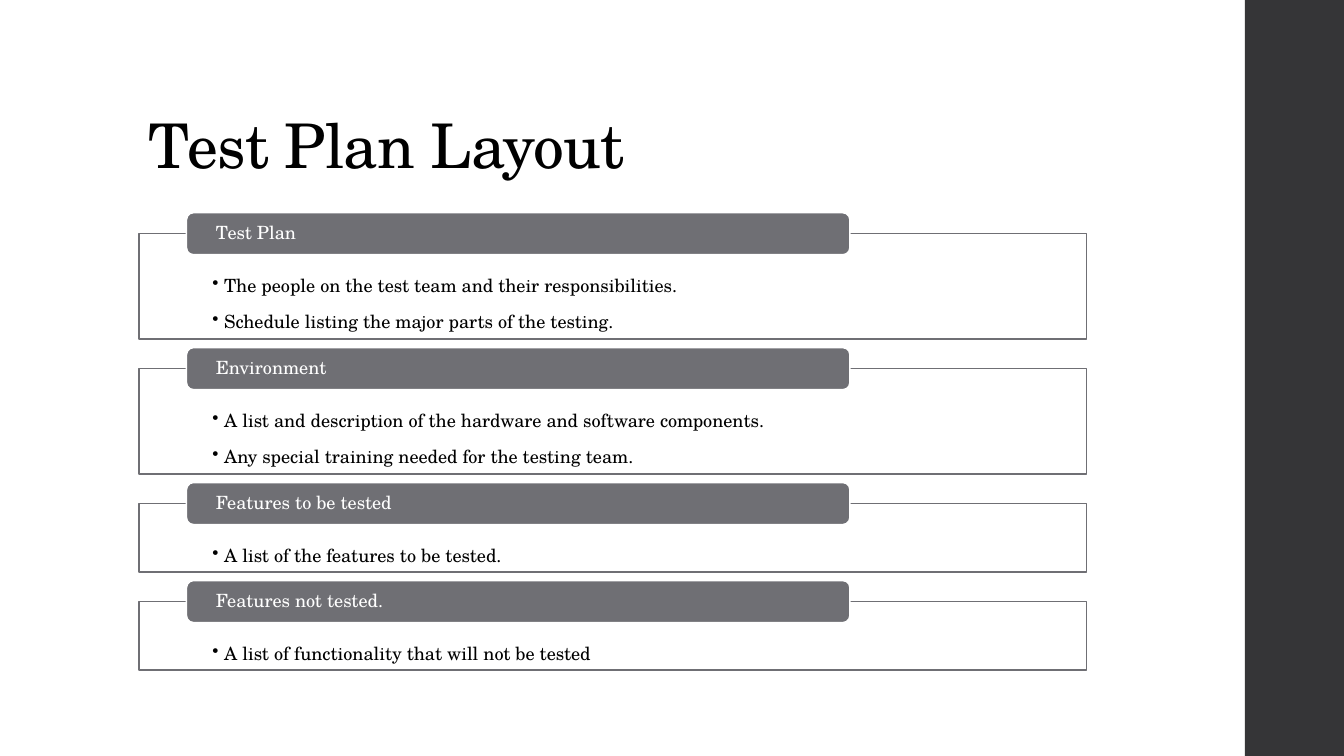
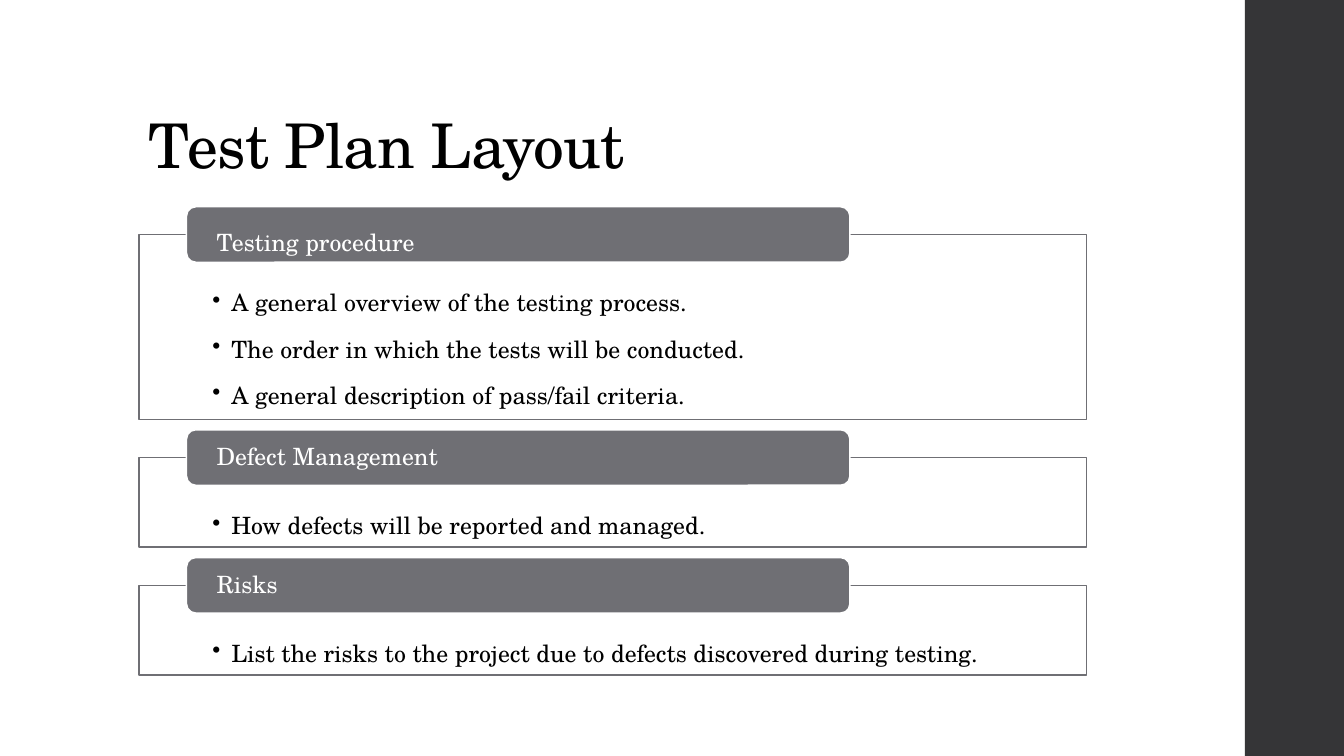
from dataclasses import dataclass
from typing import Any

from lxml import etree
from pptx import Presentation
from pptx.dml.color import RGBColor
from pptx.enum.shapes import MSO_SHAPE
from pptx.enum.text import MSO_ANCHOR, MSO_AUTO_SIZE, PP_ALIGN
from pptx.oxml.ns import qn
from pptx.util import Cm, Pt

RECTANGLE, ROUNDED = MSO_SHAPE.RECTANGLE, MSO_SHAPE.ROUNDED_RECTANGLE
TOP, MIDDLE, BOTTOM = MSO_ANCHOR.TOP, MSO_ANCHOR.MIDDLE, MSO_ANCHOR.BOTTOM
LEFT = PP_ALIGN.LEFT
NO_AUTOFIT = MSO_AUTO_SIZE.NONE
TITLE_ONLY = 5

SLIDE_WIDTH, SLIDE_HEIGHT = 33.87, 19.05
SIDEBAR_LEFT, SIDEBAR_WIDTH = 31.37, 2.5
PANEL_LEFT, PANEL_WIDTH, PANEL_INSET = 3.5, 23.88, 1.85
TAB_LEFT, TAB_WIDTH, TAB_INSET = 4.7, 16.72, 0.69


@dataclass(frozen=True)
class Theme:
    font: str = "TeX Gyre Schola"
    title_size: float = 44
    outline_width: float = 1.1
    ink: RGBColor = RGBColor(0x00, 0x00, 0x00)
    paper: RGBColor = RGBColor(0xFF, 0xFF, 0xFF)
    accent: RGBColor = RGBColor(0x6F, 0x6F, 0x74)
    sidebar: RGBColor = RGBColor(0x35, 0x35, 0x37)


@dataclass(frozen=True)
class Section:
    heading: str
    bullets: tuple[str, ...]
    heading_spacing: float = 0.9


@dataclass(frozen=True)
class Scale:
    """Type size in points; all lengths in centimetres."""
    text_size: float
    first_top: float
    gap: float
    tab_height: float
    panel_base: float
    bullet_height: float
    inset_top: float
    inset_bottom: float
    hanging: float


THEME = Theme()
SMALL = Scale(13, 5.89, 0.74, 1.06, 0.8, 0.93, 0.75, 0.25, 0.3)
LARGE = Scale(17, 5.91, 0.96, 1.4, 1.06, 1.2, 0.99, 0.33, 0.48)

PAGES = (
    ("Test Plan Layout", SMALL, (
        Section("Test Plan", (
            "The people on the test team and their responsibilities.",
            "Schedule listing the major parts of the testing.")),
        Section("Environment", (
            "A list and description of the hardware and software components.",
            "Any special training needed for the testing team.")),
        Section("Features to be tested", ("A list of the features to be tested.",)),
        Section("Features not tested.", ("A list of functionality that will not be tested",)),
    )),
    ("Test Plan Layout", LARGE, (
        Section("Testing procedure", (
            "A general overview of the testing process.",
            "The order in which the tests will be conducted.",
            "A general description of pass/fail criteria."), 1.5),
        Section("Defect Management", ("How defects will be reported and managed.",)),
        Section("Risks", (
            "List the risks to the project due to defects discovered during testing.",)),
    )),
)


def apply_format(target: Any, values: dict[str, Any]) -> None:
    for attribute, value in values.items():
        setattr(target, attribute, value)


def add_block(slide: Any, kind: Any, box: tuple[float, ...], fill: RGBColor,
              outline: RGBColor | None = None) -> Any:
    """Add a flat shape; box is left, top, width, height in centimetres."""
    block = slide.shapes.add_shape(kind, *(Cm(length) for length in box))
    block.shadow.inherit = False
    block.fill.solid()
    block.fill.fore_color.rgb = fill
    if outline is None:
        block.line.fill.background()
    else:
        block.line.color.rgb = outline
        block.line.width = Pt(THEME.outline_width)
    return block


def write(frame: Any, lines: tuple[str, ...], size: float, color: RGBColor,
          line_spacing: float, after: float = 0) -> None:
    """Fill a frame; after is the space below a line as a share of the type size."""
    frame.text = "\n".join(lines)
    for paragraph in frame.paragraphs:
        apply_format(paragraph, {"alignment": LEFT, "line_spacing": line_spacing,
                                 "space_before": Pt(0), "space_after": Pt(after * size)})
        font = paragraph.runs[0].font
        apply_format(font, {"name": THEME.font, "size": Pt(size)})
        font.color.rgb = color


def add_bullets(frame: Any, hanging: float) -> None:
    for paragraph in frame.paragraphs:
        properties = paragraph._p.get_or_add_pPr()
        properties.set("marL", str(Cm(hanging)))
        properties.set("indent", str(-Cm(hanging)))
        etree.SubElement(properties, qn("a:buChar")).set("char", "•")


def add_panel(slide: Any, section: Section, scale: Scale, top: float, height: float) -> None:
    panel = add_block(slide, RECTANGLE, (PANEL_LEFT, top, PANEL_WIDTH, height),
                      THEME.paper, THEME.accent)
    fill_color = panel.element.spPr.find(qn("a:solidFill")).find(qn("a:srgbClr"))
    etree.SubElement(fill_color, qn("a:alpha")).set("val", "90000")
    frame = panel.text_frame
    apply_format(frame, {"word_wrap": True, "vertical_anchor": TOP,
                         "margin_left": Cm(PANEL_INSET), "margin_right": Cm(PANEL_INSET),
                         "margin_top": Cm(scale.inset_top),
                         "margin_bottom": Cm(scale.inset_bottom)})
    write(frame, section.bullets, scale.text_size, THEME.ink, 1.5, 0.15)
    add_bullets(frame, scale.hanging)


def add_tab(slide: Any, section: Section, scale: Scale, center: float) -> None:
    box = (TAB_LEFT, center - scale.tab_height / 2, TAB_WIDTH, scale.tab_height)
    frame = add_block(slide, ROUNDED, box, THEME.accent, THEME.paper).text_frame
    apply_format(frame, {"word_wrap": True, "vertical_anchor": MIDDLE,
                         "margin_left": Cm(TAB_INSET), "margin_right": Cm(TAB_INSET),
                         "margin_top": 0, "margin_bottom": 0})
    write(frame, (section.heading,), scale.text_size, THEME.paper,
          section.heading_spacing, 0.35)


def add_sections(slide: Any, sections: tuple[Section, ...], scale: Scale) -> None:
    """Stack the panels, each with a tab centred on its top edge."""
    top = scale.first_top
    for section in sections:
        height = scale.panel_base + len(section.bullets) * scale.bullet_height
        add_panel(slide, section, scale, top, height)
        add_tab(slide, section, scale, top)
        top += height + scale.gap


def set_title(slide: Any, text: str) -> None:
    title = slide.shapes.title
    apply_format(title, {"left": Cm(3.5), "top": Cm(1.02),
                         "width": Cm(26.92), "height": Cm(3.68)})
    frame = title.text_frame
    apply_format(frame, {"word_wrap": True, "vertical_anchor": BOTTOM,
                         "auto_size": NO_AUTOFIT})
    write(frame, (text,), THEME.title_size, THEME.ink, 0.9)
    frame.paragraphs[0].runs[0].font._element.set("spc", "-50")


def add_sidebar(slide: Any) -> None:
    """Draw the side band and move it to the layout that all slides share."""
    sidebar = add_block(slide, RECTANGLE, (SIDEBAR_LEFT, 0, SIDEBAR_WIDTH, SLIDE_HEIGHT),
                        THEME.sidebar)
    slide.slide_layout.shapes.element.append(sidebar.element)


def main() -> None:
    deck = Presentation()
    apply_format(deck, {"slide_width": Cm(SLIDE_WIDTH), "slide_height": Cm(SLIDE_HEIGHT)})
    layout = deck.slide_layouts[TITLE_ONLY]
    for title, scale, sections in PAGES:
        slide = deck.slides.add_slide(layout)
        set_title(slide, title)
        add_sections(slide, sections, scale)
    add_sidebar(deck.slides[0])
    deck.save("out.pptx")


if __name__ == "__main__":
    main()
